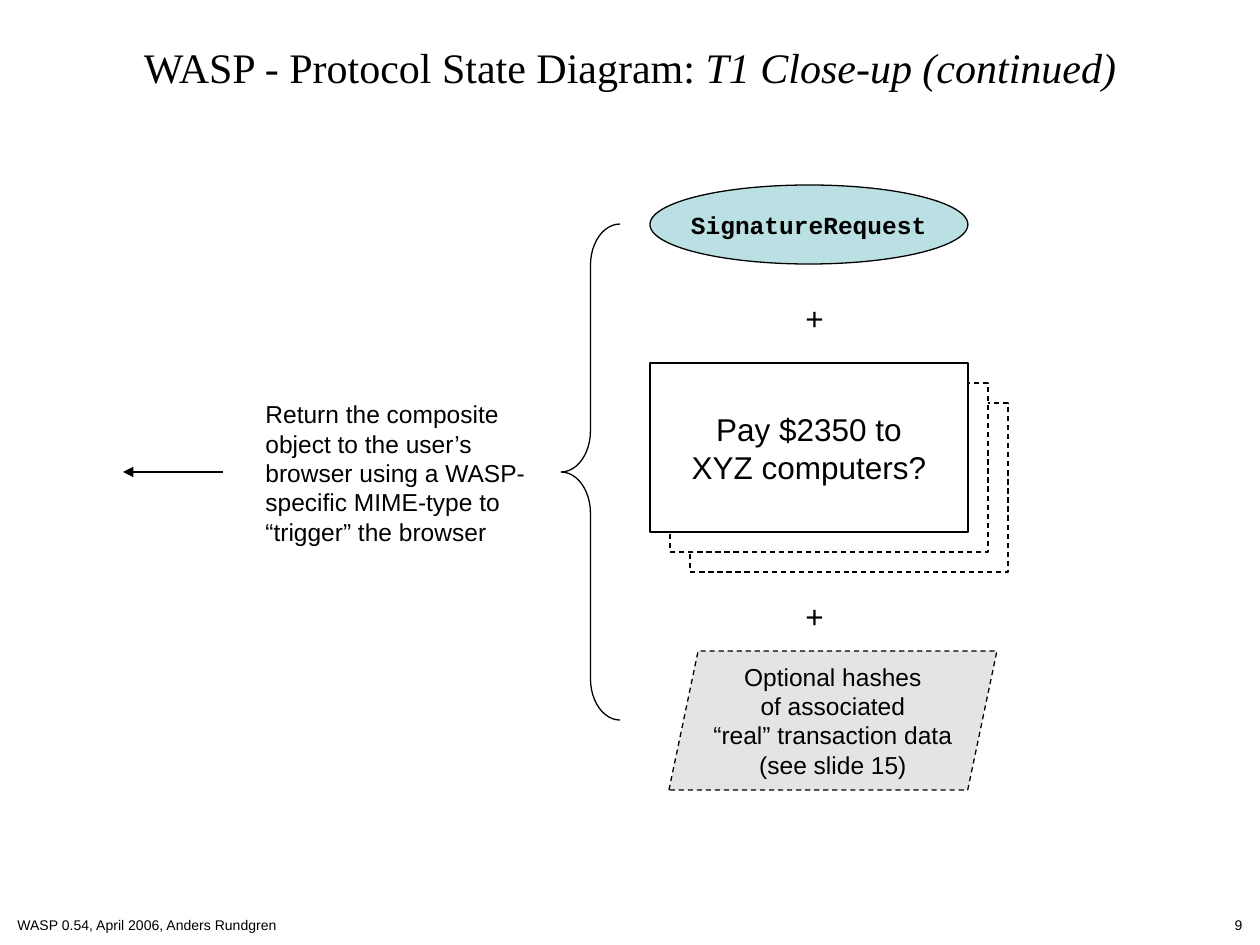
from lxml.etree import SubElement
from pptx import Presentation
from pptx.dml.color import RGBColor
from pptx.enum.dml import MSO_LINE_DASH_STYLE as Dash
from pptx.enum.shapes import MSO_CONNECTOR as Connector, MSO_SHAPE as Shape
from pptx.enum.text import MSO_ANCHOR as Anchor, MSO_AUTO_SIZE as AutoSize, PP_ALIGN as Align
from pptx.oxml.ns import qn
from pptx.util import Emu, Pt

PX_PER_INCH = 126
COLORS = {"ink": "000000", "paper": "FFFFFF", "request": "BBE0E3", "hashes": "E4E4E4"}


def px(length):
    return Emu(round(length * 914400 / PX_PER_INCH))


def color(name):
    return RGBColor.from_string(COLORS[name])


def write_text(frame, text, size=14, font="Arial", bold=False, align=Align.LEFT,
               anchor=Anchor.TOP, wrap=True, italic_tail=""):
    frame.word_wrap = wrap
    frame.auto_size = AutoSize.NONE
    frame.vertical_anchor = anchor
    paragraph = frame.paragraphs[0]
    paragraph.text = text
    paragraph.alignment = align
    if italic_tail:
        tail = paragraph.add_run()
        tail.text = italic_tail
        tail.font.italic = True
    for run in paragraph.runs:
        run.font.name = font
        run.font.size = Pt(size)
        run.font.bold = bold
        run.font.color.rgb = color("ink")


class Diagram:
    """Draws the slide's elements in one shared line and text style."""

    def __init__(self, slide, line_width=0.75):
        self.slide = slide
        self.line_width = Pt(line_width)

    def outline(self, line, dashed=False):
        line.color.rgb = color("ink")
        line.width = self.line_width
        if dashed:
            line.dash_style = Dash.DASH

    def title(self, box, text, **style):
        heading = self.slide.shapes.title
        heading.left, heading.top, heading.width, heading.height = map(px, box)
        write_text(heading.text_frame, text, **style)

    def label(self, box, text, **style):
        textbox = self.slide.shapes.add_textbox(*map(px, box))
        write_text(textbox.text_frame, text, **style)

    def shape(self, kind, box, text="", fill=None, dashed=False, adjustments=(), **style):
        node = self.slide.shapes.add_shape(kind, *map(px, box))
        node.shadow.inherit = False
        for index, value in enumerate(adjustments):
            node.adjustments[index] = value
        if fill:
            node.fill.solid()
            node.fill.fore_color.rgb = color(fill)
        else:
            node.fill.background()
        self.outline(node.line, dashed)
        if text:
            write_text(node.text_frame, text, align=Align.CENTER, anchor=Anchor.MIDDLE,
                       wrap=False, **style)

    def arrow(self, start, end):
        connector = self.slide.shapes.add_connector(
            Connector.STRAIGHT, *map(px, start + end))
        self.outline(connector.line)
        SubElement(connector.line._get_or_add_ln(), qn("a:tailEnd"), type="triangle")
        SubElement(connector._element.spPr, qn("a:effectLst"))


def main():
    deck = Presentation()
    deck.slide_width, deck.slide_height = px(1260), px(945)
    diagram = Diagram(deck.slides.add_slide(deck.slide_layouts[5]))

    diagram.title((104, 35, 1052, 63), "WASP - Protocol State Diagram: ", size=24,
                  font="Times New Roman", align=Align.CENTER,
                  italic_tail="T1 Close-up (continued)")
    diagram.label((5, 910, 402, 30), "WASP 0.54, April 2006, Anders Rundgren", size=8)
    diagram.label((853, 910, 402, 30), "9", size=8, align=Align.RIGHT)

    part_left, part_width = 650, 318
    card_top, card_height, card_step = 363, 169, 20
    for depth in (2, 1, 0):
        shift = depth * card_step
        diagram.shape(Shape.RECTANGLE,
                      (part_left + shift, card_top + shift, part_width, card_height),
                      "" if depth else "Pay $2350 to\vXYZ computers?",
                      fill="paper", dashed=depth > 0, size=18)

    diagram.shape(Shape.OVAL, (part_left, 185, part_width, 79), "SignatureRequest",
                  fill="request", font="Courier New", bold=True)
    diagram.shape(Shape.PARALLELOGRAM, (669, 651, 328, 139),
                  "Optional hashes\vof associated\v“real” transaction data\v(see slide 15)",
                  fill="hashes", dashed=True, adjustments=(0.21,))
    for plus_top in (293, 591):
        diagram.label((740, plus_top, 149, 50), "+", size=18, align=Align.CENTER)

    diagram.shape(Shape.LEFT_BRACE, (561, 224, 59, 496), adjustments=(0.7, 0.5))
    diagram.label((253, 393, 297, 160),
                  "Return the composite object to the user’s browser using a "
                  "WASP-specific MIME-type to “trigger” the browser")
    diagram.arrow((223, 472), (123, 472))

    deck.save("out.pptx")


if __name__ == "__main__":
    main()
